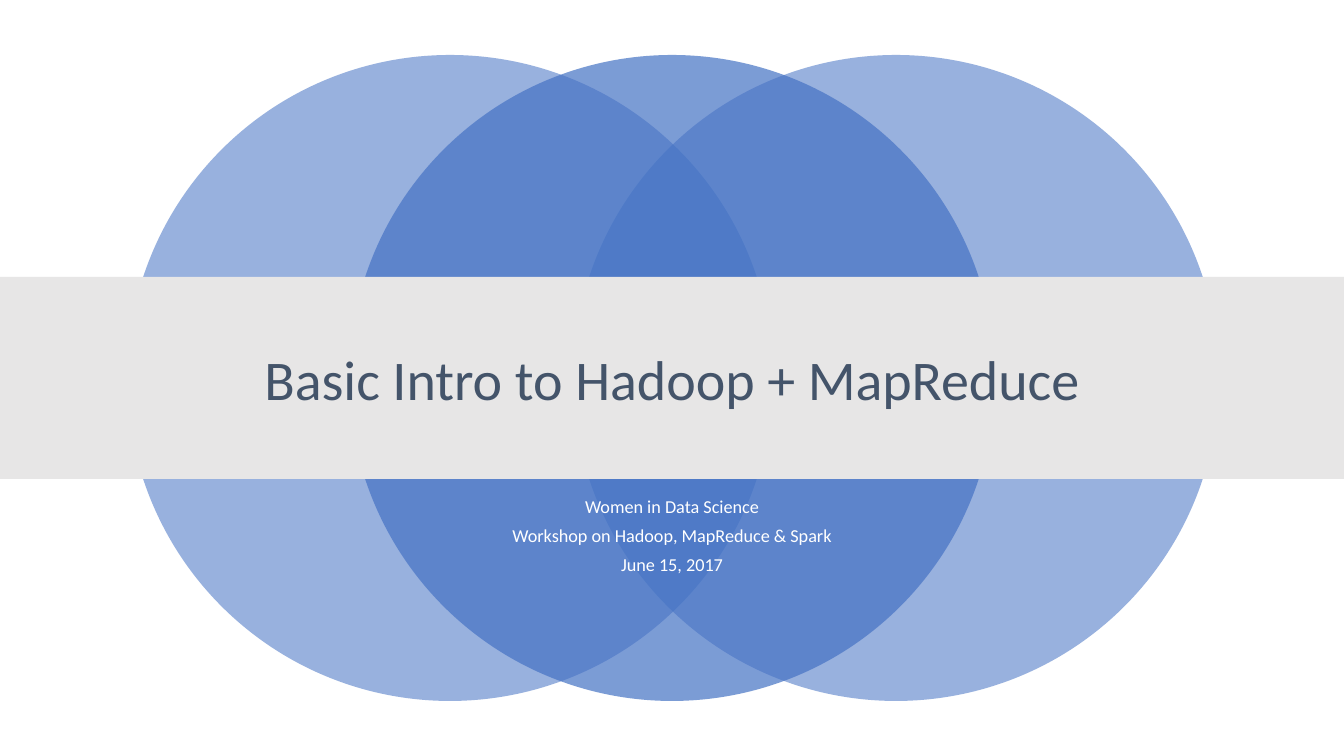
import pptx
import pptx.util
import pptx.dml.color
import pptx.enum.shapes
import pptx.enum.text
import pptx.oxml.ns
import lxml.etree

PX = 12192000 / 1344  # EMU per px
WHITE = pptx.dml.color.RGBColor(0xFF, 0xFF, 0xFF)
BLUE = pptx.dml.color.RGBColor(0x44, 0x72, 0xC4)
GREY = pptx.dml.color.RGBColor(0xE7, 0xE6, 0xE6)
SLATE = pptx.dml.color.RGBColor(0x44, 0x54, 0x6A)
SHAPES = pptx.enum.shapes.MSO_SHAPE


def add_filled_shape(kind, box, color):
    shape = slide.shapes.add_shape(kind, *[round(n * PX) for n in box])
    shape.shadow.inherit = False
    shape.fill.solid()
    shape.fill.fore_color.rgb = color
    shape.line.fill.background()
    return shape


def write_lines(shape, lines, size, color, line_spacing, gap):
    frame = shape.text_frame
    frame.word_wrap = True
    frame.auto_size = pptx.enum.text.MSO_AUTO_SIZE.NONE
    for index, line in enumerate(lines):
        paragraph = frame.add_paragraph() if index else frame.paragraphs[0]
        paragraph.alignment = pptx.enum.text.PP_ALIGN.CENTER
        paragraph.line_spacing = line_spacing
        paragraph.space_before = pptx.util.Pt(gap if index else 0)
        run = paragraph.add_run()
        run.text = line
        run.font.name = "Calibri"
        run.font.size = pptx.util.Pt(size)
        run.font.color.rgb = color


presentation = pptx.Presentation()
presentation.slide_width = round(1344 * PX)
presentation.slide_height = round(756 * PX)
slide = presentation.slides.add_slide(presentation.slide_layouts.get_by_name("Title Only"))
slide.background.fill.solid()
slide.background.fill.fore_color.rgb = WHITE

# Overlapping circles: the outer two, then the middle one on top
for left, opacity in [(127, 55), (573, 55), (349, 70)]:
    circle = add_filled_shape(SHAPES.OVAL, (left, 55, 646, 646), BLUE)
    color_element = circle._element.spPr.find(".//" + pptx.oxml.ns.qn("a:srgbClr"))
    alpha = lxml.etree.SubElement(color_element, pptx.oxml.ns.qn("a:alpha"))
    alpha.set("val", str(opacity * 1000))

# Band across the slide
add_filled_shape(SHAPES.RECTANGLE, (0, 277, 1344, 202), GREY)

# Title, brought in front of the band
title = slide.shapes.title
title.left, title.top, title.width, title.height = [
    round(n * PX) for n in (168, 306, 1008, 152)]
title.text_frame.vertical_anchor = pptx.enum.text.MSO_ANCHOR.MIDDLE
write_lines(title, ["Basic Intro to Hadoop + MapReduce"], 40, SLATE, 0.9, 0)
slide.shapes._spTree.append(title._element)

# Event details
details = slide.shapes.add_textbox(*[round(n * PX) for n in (168, 496, 1008, 84)])
write_lines(details, ["Women in Data Science",
                      "Workshop on Hadoop, MapReduce & Spark",
                      "June 15, 2017"], 13, WHITE, 0.7, 10)

presentation.save("out.pptx")
